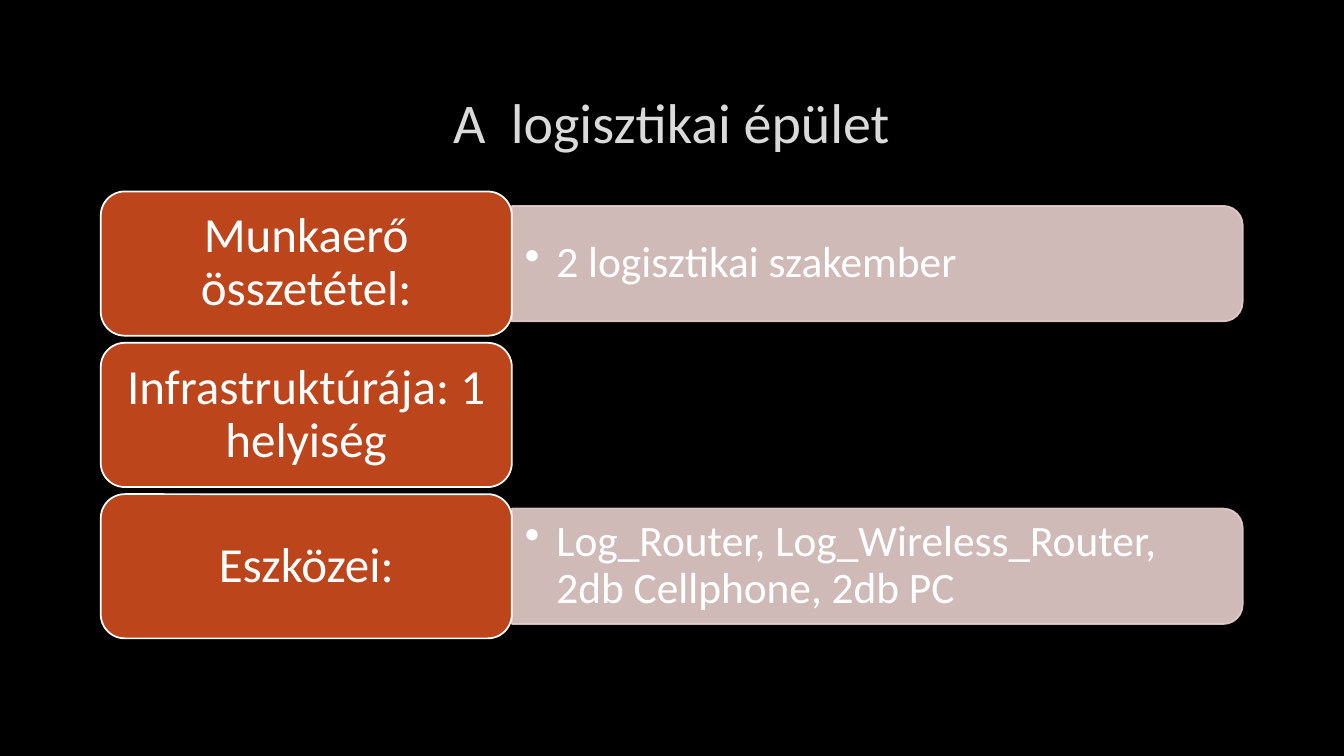
from lxml import etree
from pptx import Presentation
from pptx.dml.color import RGBColor
from pptx.enum.shapes import MSO_SHAPE
from pptx.enum.text import MSO_ANCHOR, PP_ALIGN
from pptx.oxml.ns import qn
from pptx.util import Pt

ROUNDED = MSO_SHAPE.ROUNDED_RECTANGLE
TWO_ROUNDED = MSO_SHAPE.ROUND_2_SAME_RECTANGLE
MIDDLE = MSO_ANCHOR.MIDDLE
CENTER, LEFT = PP_ALIGN.CENTER, PP_ALIGN.LEFT

THEME = {
    "font": "Calibri",
    "background": RGBColor(0x00, 0x00, 0x00),
    "title": RGBColor(0xDA, 0xDA, 0xDA),
    "label": RGBColor(0xBC, 0x45, 0x1B),
    "bar": RGBColor(0xE7, 0xCF, 0xCD),
    "text": RGBColor(0xFF, 0xFF, 0xFF),
    "title_size": Pt(40),
    "label_size": Pt(35),
    "detail_size": Pt(31),
}

SECTIONS = [
    ("Munkaerő összetétel:", "2 logisztikai szakember"),
    ("Infrastruktúrája: 1 helyiség", None),
    ("Eszközei:", "Log_Router, Log_Wireless_Router, 2db Cellphone, 2db PC"),
]

LABEL_LEFT, LABEL_TOP, LABEL_WIDTH, LABEL_HEIGHT = 72, 136.8, 293.6, 103
ROW_PITCH = 108.1
BAR_LEFT = LABEL_LEFT + LABEL_WIDTH
BAR_LENGTH, BAR_THICKNESS = 522, 82.4
DETAIL_WIDTH, DETAIL_HEIGHT = 518, 74.4


def write(shape, text, size, color, align, inset_x, inset_y, spacing):
    frame = shape.text_frame
    frame.word_wrap = True
    frame.vertical_anchor = MIDDLE
    frame.margin_left = frame.margin_right = Pt(inset_x)
    frame.margin_top = frame.margin_bottom = Pt(inset_y)
    paragraph = frame.paragraphs[0]
    paragraph.text = text
    paragraph.alignment = align
    paragraph.line_spacing = spacing
    paragraph.font.name = THEME["font"]
    paragraph.font.size = THEME[size]
    paragraph.font.color.rgb = THEME[color]
    return paragraph


def paint(shape, fill, line):
    shape.shadow.inherit = False
    shape.fill.solid()
    shape.fill.fore_color.rgb = THEME[fill]
    shape.line.color.rgb = THEME[line]
    shape.line.width = Pt(1.25)


prs = Presentation()
prs.slide_width, prs.slide_height = Pt(960), Pt(540)
slide = prs.slides.add_slide(prs.slide_layouts[6])
slide.background.fill.solid()
slide.background.fill.fore_color.rgb = THEME["background"]

title = slide.shapes.add_textbox(Pt(72), Pt(48.2), Pt(815), Pt(76.3))
write(title, "A  logisztikai épület", "title_size", "title", CENTER, 7.2, 3.6, 1.0)

for row, (heading, detail) in enumerate(SECTIONS):
    top = LABEL_TOP + row * ROW_PITCH
    middle = top + LABEL_HEIGHT / 2

    if detail:
        bar = slide.shapes.add_shape(
            TWO_ROUNDED,
            Pt(BAR_LEFT + (BAR_LENGTH - BAR_THICKNESS) / 2),
            Pt(middle - BAR_LENGTH / 2),
            Pt(BAR_THICKNESS),
            Pt(BAR_LENGTH),
        )
        bar.rotation = 90
        paint(bar, "bar", "bar")
        for color in bar._element.spPr.iter(qn("a:srgbClr")):
            etree.SubElement(color, qn("a:alpha"), val="90000")

        detail_box = slide.shapes.add_textbox(
            Pt(BAR_LEFT), Pt(middle - DETAIL_HEIGHT / 2), Pt(DETAIL_WIDTH), Pt(DETAIL_HEIGHT)
        )
        item = write(detail_box, detail, "detail_size", "text", LEFT, 9.3, 4.6, 0.9)
        properties = item._p.get_or_add_pPr()
        properties.set("marL", str(Pt(22.5)))
        properties.set("indent", str(-Pt(22.5)))
        bullet = etree.Element(qn("a:buChar"), char="•")
        properties.find(qn("a:defRPr")).addprevious(bullet)

    label = slide.shapes.add_shape(
        ROUNDED, Pt(LABEL_LEFT), Pt(top), Pt(LABEL_WIDTH), Pt(LABEL_HEIGHT)
    )
    paint(label, "label", "text")
    write(label, heading, "label_size", "text", CENTER, 10.5, 5.2, 0.9)

prs.save("out.pptx")
